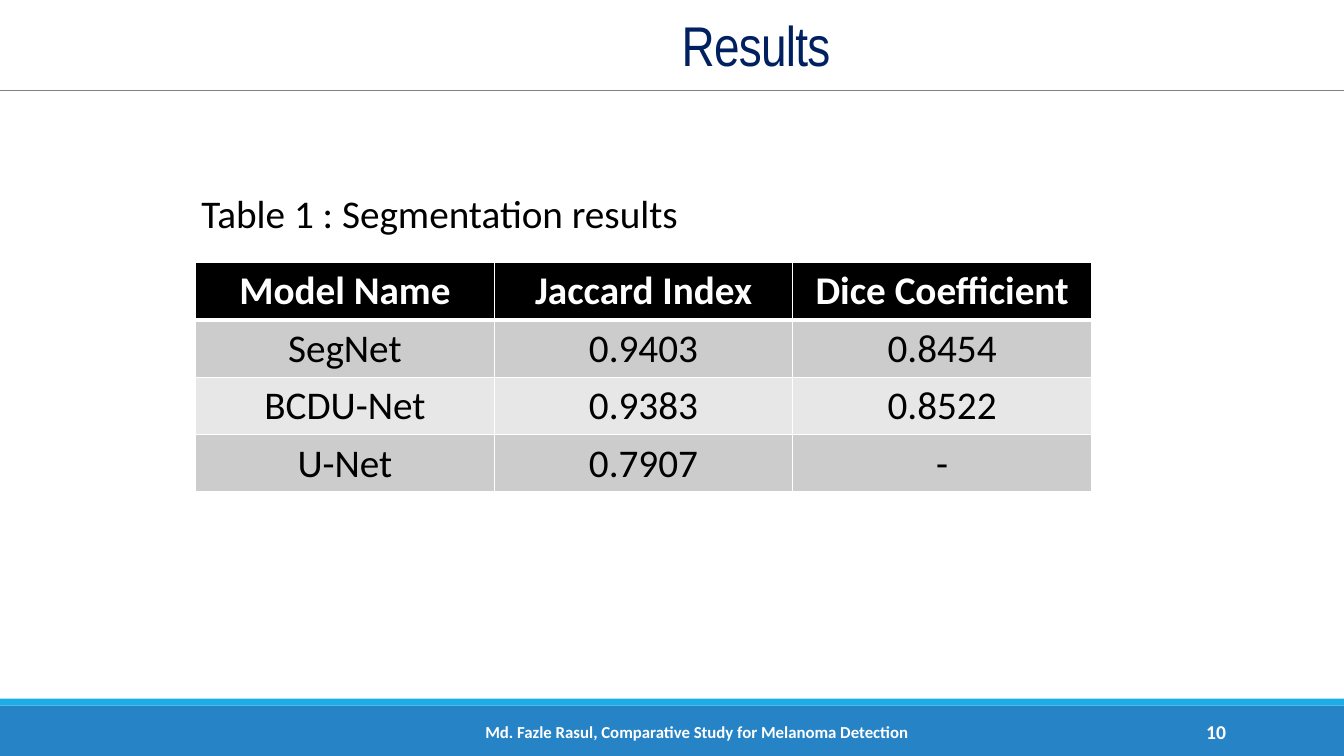
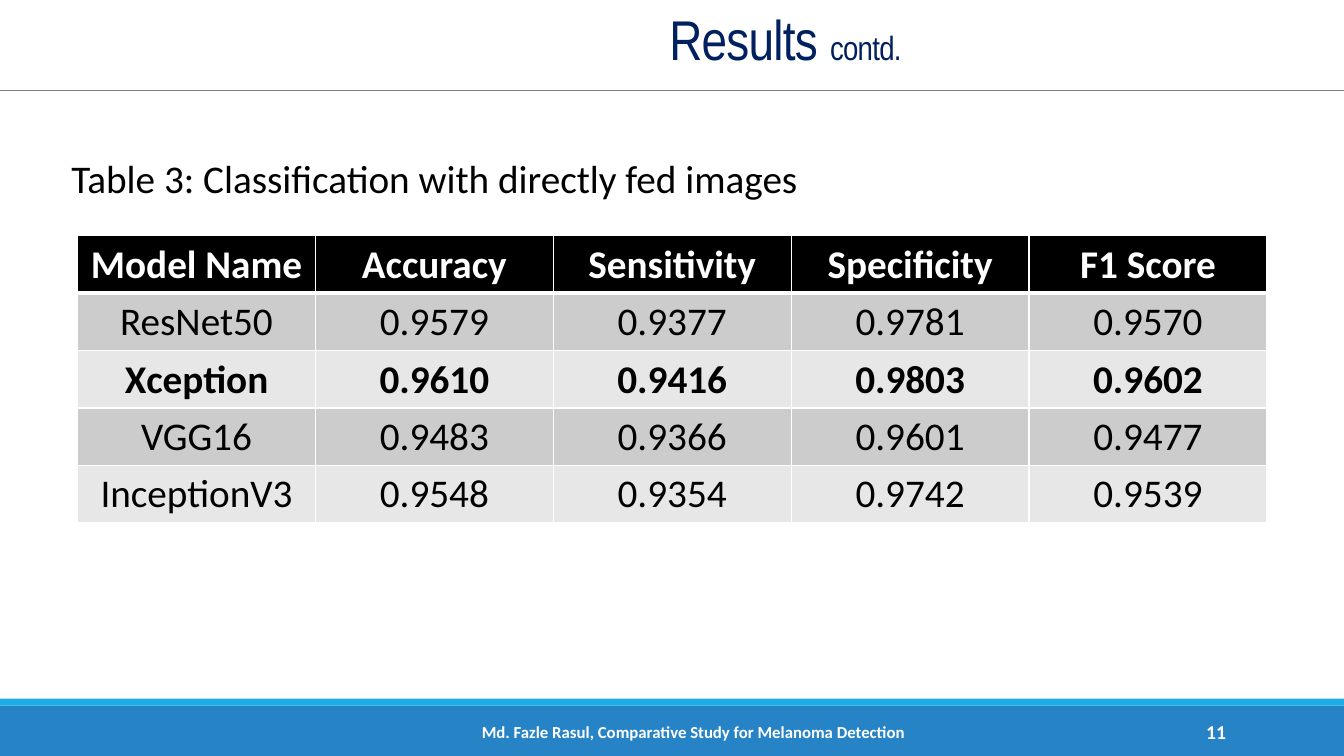
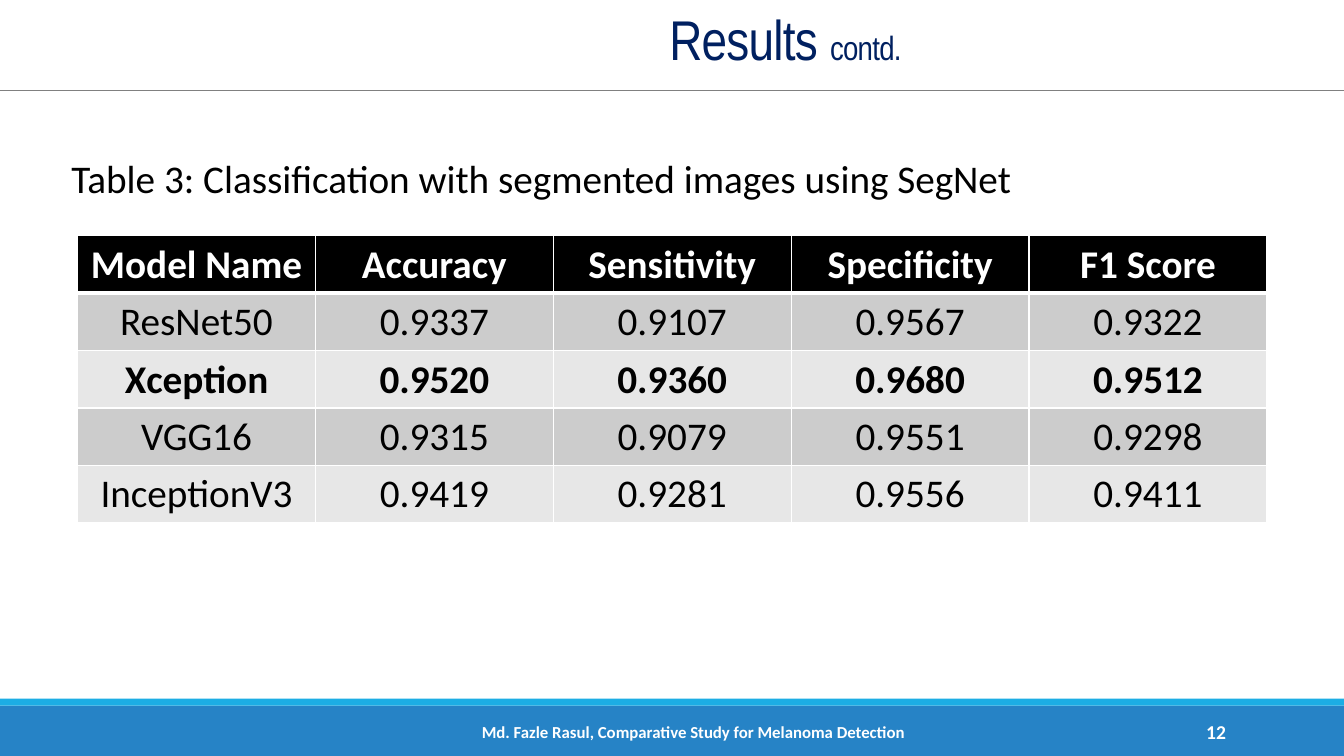
from dataclasses import dataclass

from lxml import etree
from pptx import Presentation
from pptx.dml.color import RGBColor
from pptx.enum.shapes import MSO_CONNECTOR, MSO_SHAPE
from pptx.enum.text import MSO_ANCHOR, MSO_AUTO_SIZE, PP_ALIGN
from pptx.oxml.ns import qn
from pptx.slide import Slide
from pptx.table import _Cell
from pptx.text.text import TextFrame
from pptx.util import Pt

LEFT, CENTER, RIGHT = PP_ALIGN.LEFT, PP_ALIGN.CENTER, PP_ALIGN.RIGHT
TOP, MIDDLE, BOTTOM = MSO_ANCHOR.TOP, MSO_ANCHOR.MIDDLE, MSO_ANCHOR.BOTTOM
RECTANGLE, STRAIGHT = MSO_SHAPE.RECTANGLE, MSO_CONNECTOR.STRAIGHT
NO_FIT = MSO_AUTO_SIZE.NONE
TITLE_ONLY = 5

WHITE = RGBColor(0xFF, 0xFF, 0xFF)
BLACK = RGBColor(0x00, 0x00, 0x00)
NAVY = RGBColor(0x00, 0x20, 0x60)
BLUE = RGBColor(0x26, 0x83, 0xC6)
CYAN = RGBColor(0x1C, 0xAD, 0xE4)
GRAY = RGBColor(0x80, 0x80, 0x80)
DARK_ROW = RGBColor(0xCC, 0xCC, 0xCC)
LIGHT_ROW = RGBColor(0xE7, 0xE7, 0xE7)

TITLE_FONT, BODY_FONT = "Arial Narrow", "Calibri"
SLIDE_W, SLIDE_H = 960, 540
ROW_H = 41
FOOTER = "Md. Fazle Rasul, Comparative Study for Melanoma Detection"
METRICS = ("Model Name", "Accuracy", "Sensitivity", "Specificity", "F1 Score")


@dataclass(frozen=True)
class Box:
    left: float
    top: float
    width: float
    height: float

    def lengths(self) -> tuple[Pt, Pt, Pt, Pt]:
        return Pt(self.left), Pt(self.top), Pt(self.width), Pt(self.height)


@dataclass(frozen=True)
class Layout:
    title: Box
    title_anchor: MSO_ANCHOR
    caption: Box
    table: Box
    footer: Box


@dataclass(frozen=True)
class ResultSlide:
    number: int
    layout: Layout
    title_runs: tuple[tuple[str, int], ...]
    caption: str
    rows: tuple[tuple[str, ...], ...]
    best: str = ""


SEGMENTATION = Layout(
    title=Box(211, 7.2, 666.7, 51.8),
    title_anchor=BOTTOM,
    caption=Box(136.8, 131.8, 693.4, 41),
    table=Box(139.7, 187.5, 640, 4 * ROW_H),
    footer=Box(290.2, 508.3, 415.4, 28.8),
)
CLASSIFICATION = Layout(
    title=Box(162, 7.2, 798, 51.8),
    title_anchor=TOP,
    caption=Box(43.9, 106.6, 902.9, 41),
    table=Box(55.4, 168.5, 849.6, 5 * ROW_H),
    footer=Box(290.2, 508.3, 410.4, 28.8),
)
NUMBER_BOX = Box(779.8, 508.3, 103, 28.8)
CONTINUED = (("Results ", 40), ("contd.", 24))

SLIDES = (
    ResultSlide(
        10, SEGMENTATION, (("Results ", 40),),
        "Table 1 : Segmentation results",
        (
            ("Model Name", "Jaccard Index", "Dice Coefficient"),
            ("SegNet", "0.9403", "0.8454"),
            ("BCDU-Net", "0.9383", "0.8522"),
            ("U-Net", "0.7907", "-"),
        ),
    ),
    ResultSlide(
        11, CLASSIFICATION, CONTINUED,
        "Table 3: Classification with directly fed images",
        (
            METRICS,
            ("ResNet50", "0.9579", "0.9377", "0.9781", "0.9570"),
            ("Xception", "0.9610", "0.9416", "0.9803", "0.9602"),
            ("VGG16", "0.9483", "0.9366", "0.9601", "0.9477"),
            ("InceptionV3", "0.9548", "0.9354", "0.9742", "0.9539"),
        ),
        best="Xception",
    ),
    ResultSlide(
        12, CLASSIFICATION, CONTINUED,
        "Table 3: Classification with segmented images using SegNet",
        (
            METRICS,
            ("ResNet50", "0.9337", "0.9107", "0.9567", "0.9322"),
            ("Xception", "0.9520", "0.9360", "0.9680", "0.9512"),
            ("VGG16", "0.9315", "0.9079", "0.9551", "0.9298"),
            ("InceptionV3", "0.9419", "0.9281", "0.9556", "0.9411"),
        ),
        best="Xception",
    ),
)


def write(tf: TextFrame, text: str, size: int, color: RGBColor,
          bold: bool = False, align: PP_ALIGN = LEFT) -> None:
    p = tf.paragraphs[0]
    p.alignment = align
    r = p.add_run()
    r.text = text
    r.font.name, r.font.size = BODY_FONT, Pt(size)
    r.font.bold, r.font.color.rgb = bold, color


def add_text(s: Slide, box: Box, text: str, size: int, color: RGBColor,
             bold: bool = False, align: PP_ALIGN = LEFT,
             anchor: MSO_ANCHOR = TOP) -> None:
    tf = s.shapes.add_textbox(*box.lengths()).text_frame
    tf.word_wrap = True
    tf.vertical_anchor = anchor
    write(tf, text, size, color, bold, align)


def add_band(s: Slide, box: Box, color: RGBColor) -> None:
    sp = s.shapes.add_shape(RECTANGLE, *box.lengths())
    sp.shadow.inherit = False
    sp.fill.solid()
    sp.fill.fore_color.rgb = color
    sp.line.fill.background()


def add_frame(s: Slide, data: ResultSlide) -> None:
    # Bottom bands
    add_band(s, Box(0, 504, SLIDE_W, 36), BLUE)
    add_band(s, Box(0, 499, SLIDE_W, 5), CYAN)

    # Rule under the title
    rule = s.shapes.add_connector(STRAIGHT, 0, Pt(64.8), Pt(SLIDE_W), Pt(64.8))
    rule.line.color.rgb = GRAY
    rule.line.width = Pt(0.5)
    etree.SubElement(rule._element.spPr, qn("a:effectLst"))

    # Footer and slide number
    add_text(s, data.layout.footer, FOOTER, 12, WHITE, True, CENTER, MIDDLE)
    add_text(s, NUMBER_BOX, str(data.number), 14, WHITE, True, RIGHT, MIDDLE)


def set_title(s: Slide, data: ResultSlide) -> None:
    sp = s.shapes.title
    sp.left, sp.top, sp.width, sp.height = data.layout.title.lengths()
    tf = sp.text_frame
    tf.auto_size = NO_FIT
    tf.word_wrap = True
    tf.vertical_anchor = data.layout.title_anchor
    p = tf.paragraphs[0]
    p.alignment = CENTER
    p.line_spacing = 0.85
    for text, size in data.title_runs:
        r = p.add_run()
        r.text = text
        r.font.name, r.font.size = TITLE_FONT, Pt(size)
        r.font.color.rgb = NAVY
        r._r.get_or_add_rPr().set("spc", "-50")


def set_borders(cell: _Cell, top: int, bottom: int) -> None:
    tc_pr = cell._tc.get_or_add_tcPr()
    for side, width in (("L", 1), ("R", 1), ("T", top), ("B", bottom)):
        ln = etree.SubElement(tc_pr, qn(f"a:ln{side}"), w=str(Pt(width)))
        fill = etree.SubElement(ln, qn("a:solidFill"))
        etree.SubElement(fill, qn("a:srgbClr"), val=str(WHITE))


def add_results(s: Slide, data: ResultSlide) -> None:
    box, rows = data.layout.table, data.rows
    table = s.shapes.add_table(len(rows), len(rows[0]), *box.lengths()).table
    table.horz_banding = False
    for column in table.columns:
        column.width = Pt(box.width / len(rows[0]))
    for i, values in enumerate(rows):
        table.rows[i].height = Pt(ROW_H)
        header = i == 0
        row_fill = BLACK if header else DARK_ROW if i % 2 else LIGHT_ROW
        bold = header or values[0] == data.best
        for j, value in enumerate(values):
            cell = table.cell(i, j)
            set_borders(cell, 3 if i == 1 else 1, 3 if header else 1)
            cell.fill.solid()
            cell.fill.fore_color.rgb = row_fill
            write(cell.text_frame, value, 28, WHITE if header else BLACK,
                  bold, CENTER)


def main() -> None:
    prs = Presentation()
    prs.slide_width, prs.slide_height = Pt(SLIDE_W), Pt(SLIDE_H)
    for data in SLIDES:
        s = prs.slides.add_slide(prs.slide_layouts[TITLE_ONLY])
        add_frame(s, data)
        set_title(s, data)
        add_results(s, data)
        add_text(s, data.layout.caption, data.caption, 28, BLACK)
    prs.save("out.pptx")


if __name__ == "__main__":
    main()
